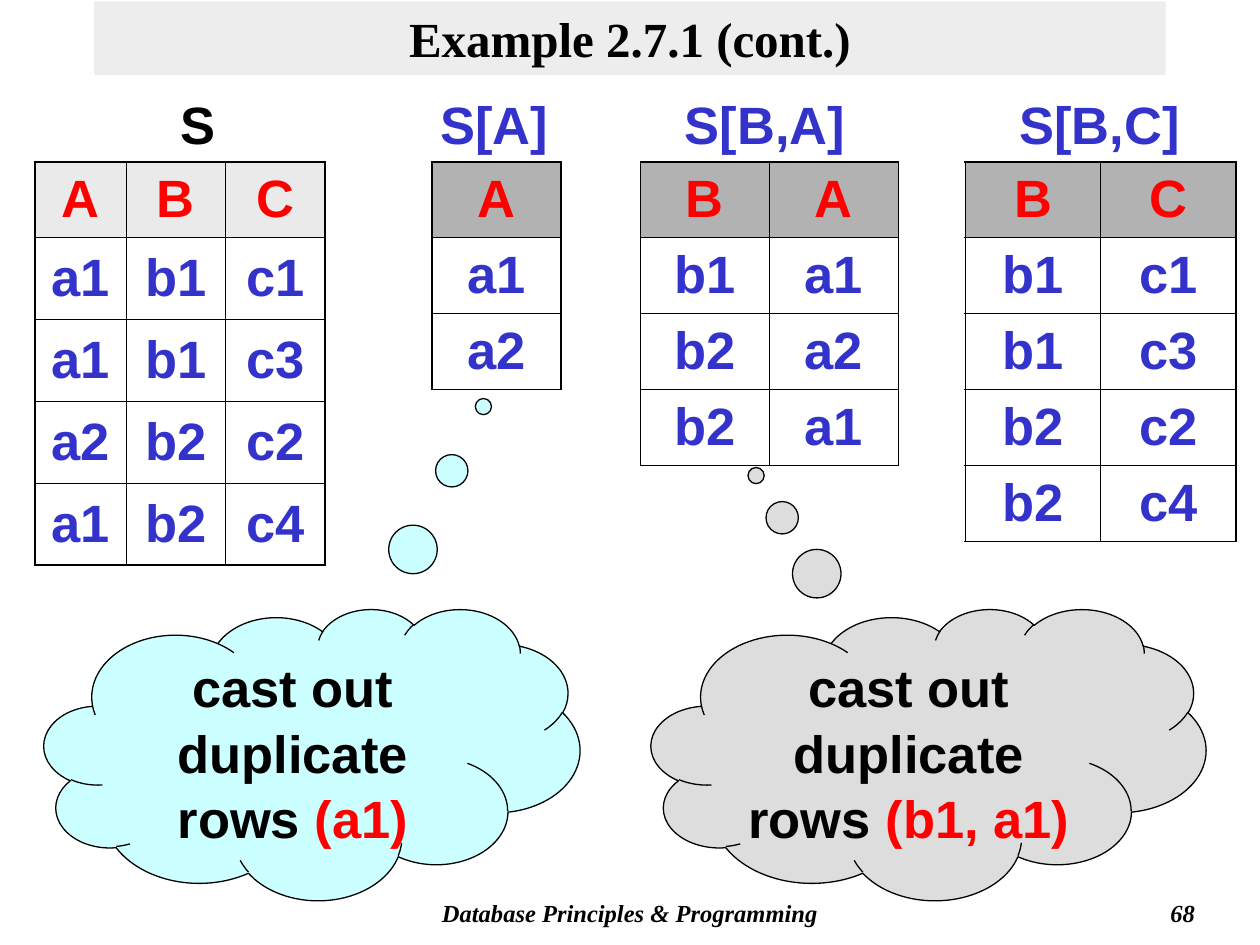
from dataclasses import dataclass

from lxml.etree import SubElement
from pptx import Presentation
from pptx.dml.color import RGBColor
from pptx.enum.shapes import MSO_SHAPE as Shape
from pptx.enum.text import MSO_ANCHOR as Anchor, PP_ALIGN as Align
from pptx.oxml.ns import qn
from pptx.util import Cm, Pt


@dataclass(frozen=True)
class Theme:
    sans: str = "Arial"
    serif: str = "Times New Roman"
    black: str = "000000"
    red: str = "FF0000"
    blue: str = "3333CC"
    pale: str = "EAEAEA"
    mid: str = "B2B2B2"
    gray: str = "DDDDDD"
    cyan: str = "CCFFFF"
    title: float = 28
    body: float = 30
    footer: float = 14
    thick: float = 1.08
    thin: float = 0.45


T = Theme()


@dataclass(frozen=True)
class Relation:
    name: str
    name_left: float
    left: float
    col_widths: tuple[float, ...]
    rows: tuple[str, ...]
    header_height: float = 1.52
    row_height: float = 1.52
    name_color: str = T.blue
    header_fill: str = T.mid
    inner_width: float = T.thin


@dataclass(frozen=True)
class Cloud:
    left: float
    width: float
    fill: str
    duplicate: str
    tail: tuple[float, float]


RELATIONS = (
    Relation("S", 1.46, 0.71, (1.83, 2.01, 2.01),
             ("A B C", "a1 b1 c1", "a1 b1 c3", "a2 b2 c2", "a1 b2 c4"),
             1.47, 1.65, T.black, T.pale),
    Relation("S[A]", 7.42, 8.71, (2.6,), ("A", "a1", "a2")),
    Relation("S[B,A]", 12.88, 12.91, (2.6, 2.6),
             ("B A", "b1 a1", "b2 a2", "b2 a1"), inner_width=T.thick),
    Relation("S[B,C]", 19.63, 19.46, (2.73, 2.73),
             ("B C", "b1 c1", "b1 c3", "b2 c2", "b2 c4")),
)
CLOUDS = (
    Cloud(0.89, 10.8, T.cyan, "(a1)", (0.32, -1.194)),
    Cloud(13.13, 11.18, T.gray, "(b1, a1)", (-0.311, -0.957)),
)


def rgb(color: str) -> RGBColor:
    return RGBColor.from_string(color)


def write(tf, *runs: tuple[str, str], size: float = T.body, font: str = T.sans,
          italic: bool = False, align=Align.CENTER, anchor=Anchor.TOP,
          inset: tuple[float, float] = (0.25, 0.13), before: float = 0,
          spacing: float = 1) -> None:
    """Fill a text frame with one bold paragraph of (text, colour) runs."""
    tf.word_wrap = True
    tf.vertical_anchor = anchor
    tf.margin_left = tf.margin_right = Cm(inset[0])
    tf.margin_top = tf.margin_bottom = Cm(inset[1])
    p = tf.paragraphs[0]
    p.alignment = align
    p.space_before = Pt(before)
    p.line_spacing = spacing
    for text, color in runs:
        r = p.add_run()
        r.text = text
        r.font.name = font
        r.font.size = Pt(size)
        r.font.bold = True
        r.font.italic = italic
        r.font.color.rgb = rgb(color)


def add_text(s, box: tuple[float, ...], text: str, color: str = T.black, **fmt) -> None:
    write(s.shapes.add_textbox(*map(Cm, box)).text_frame, (text, color), **fmt)


def add_title(s, text: str) -> None:
    sp = s.shapes.add_shape(Shape.RECTANGLE, Cm(1.9), Cm(0.03), Cm(21.6), Cm(1.48))
    sp.shadow.inherit = False
    sp.line.fill.background()
    sp.fill.solid()
    sp.fill.fore_color.rgb = rgb(T.gray)
    color = sp.fill._xPr.find(".//" + qn("a:srgbClr"))
    SubElement(color, qn("a:alpha"), val="50000")
    write(sp.text_frame, (text, T.black), size=T.title, font=T.serif, anchor=Anchor.MIDDLE)


def set_borders(cell, widths: dict[str, float]) -> None:
    tc_pr = cell._tc.get_or_add_tcPr()
    for side, width in widths.items():
        ln = SubElement(tc_pr, qn(f"a:ln{side}"), w=str(Pt(width)))
        fill = SubElement(ln, qn("a:solidFill"))
        SubElement(fill, qn("a:srgbClr"), val=T.black)


def add_relation(s, rel: Relation) -> None:
    """Draw a relation's name and, below it, its table."""
    add_text(s, (rel.name_left, 1.8, 5.08, 1.27), rel.name, rel.name_color,
             inset=(0.25, 0), spacing=1.04)
    n_rows, n_cols = len(rel.rows), len(rel.col_widths)
    heights = [rel.header_height] + [rel.row_height] * (n_rows - 1)
    table = s.shapes.add_table(n_rows, n_cols, Cm(rel.left), Cm(3.26),
                               Cm(sum(rel.col_widths)), Cm(sum(heights))).table
    table.first_row = table.horz_banding = False
    for col, width in zip(table.columns, rel.col_widths):
        col.width = Cm(width)
    for i, (row, height) in enumerate(zip(rel.rows, heights)):
        table.rows[i].height = Cm(height)
        for j, value in enumerate(row.split()):
            cell = table.cell(i, j)
            set_borders(cell, {
                "L": T.thick if j == 0 else rel.inner_width,
                "R": T.thick if j == n_cols - 1 else rel.inner_width,
                "T": T.thick if i == 0 else T.thin,
                "B": T.thick if i == n_rows - 1 else T.thin,
            })
            if i == 0:
                cell.fill.solid()
                cell.fill.fore_color.rgb = rgb(rel.header_fill)
            else:
                cell.fill.background()
            cell.vertical_anchor = Anchor.MIDDLE
            cell.margin_left = cell.margin_right = Cm(0.25)
            cell.margin_top = cell.margin_bottom = Cm(0.13)
            write(cell.text_frame, (value, T.blue if i else T.red),
                  anchor=Anchor.MIDDLE, before=7.5)


def add_cloud(s, cloud: Cloud) -> None:
    sp = s.shapes.add_shape(Shape.CLOUD_CALLOUT, Cm(cloud.left), Cm(12.27),
                            Cm(cloud.width), Cm(5.87))
    sp.adjustments[0], sp.adjustments[1] = cloud.tail
    sp.shadow.inherit = False
    sp.fill.solid()
    sp.fill.fore_color.rgb = rgb(cloud.fill)
    sp.line.color.rgb = rgb(T.black)
    sp.line.width = Pt(0.75)
    write(sp.text_frame, ("cast out duplicate rows ", T.black), (cloud.duplicate, T.red),
          inset=(0, 0), before=18.7, spacing=1.04)


def main() -> None:
    prs = Presentation()
    prs.slide_width, prs.slide_height = Cm(25.4), Cm(19.05)
    s = prs.slides.add_slide(prs.slide_layouts[6])
    footer = dict(size=T.footer, font=T.serif, italic=True)
    add_text(s, (7.2, 17.98, 11, 0.84), "Database Principles & Programming", **footer)
    add_text(s, (19.05, 17.98, 5.29, 0.84), "68", align=Align.RIGHT, **footer)
    add_title(s, "Example 2.7.1 (cont.)")
    for rel in RELATIONS:
        add_relation(s, rel)
    for cloud in CLOUDS:
        add_cloud(s, cloud)
    prs.save("out.pptx")


if __name__ == "__main__":
    main()
